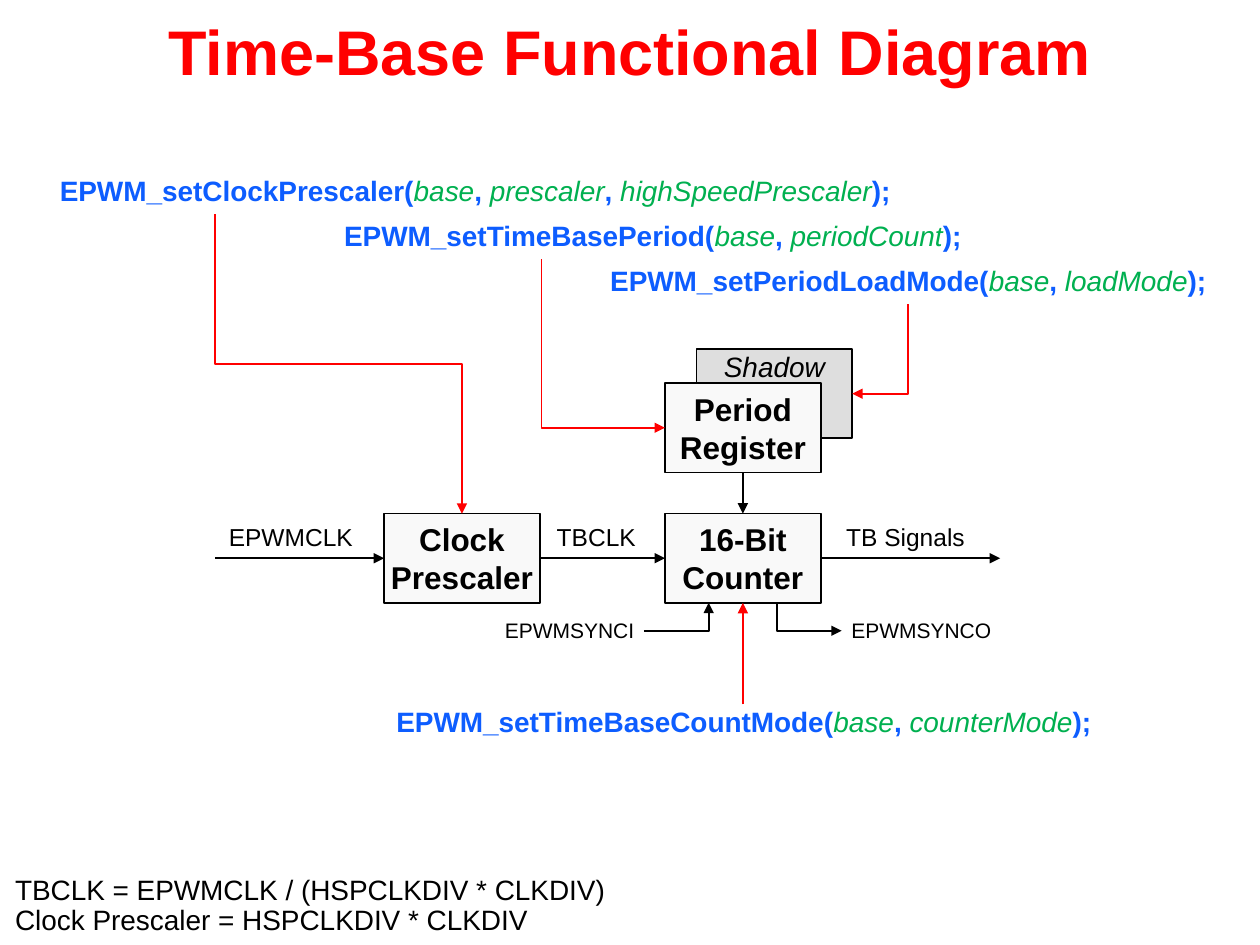
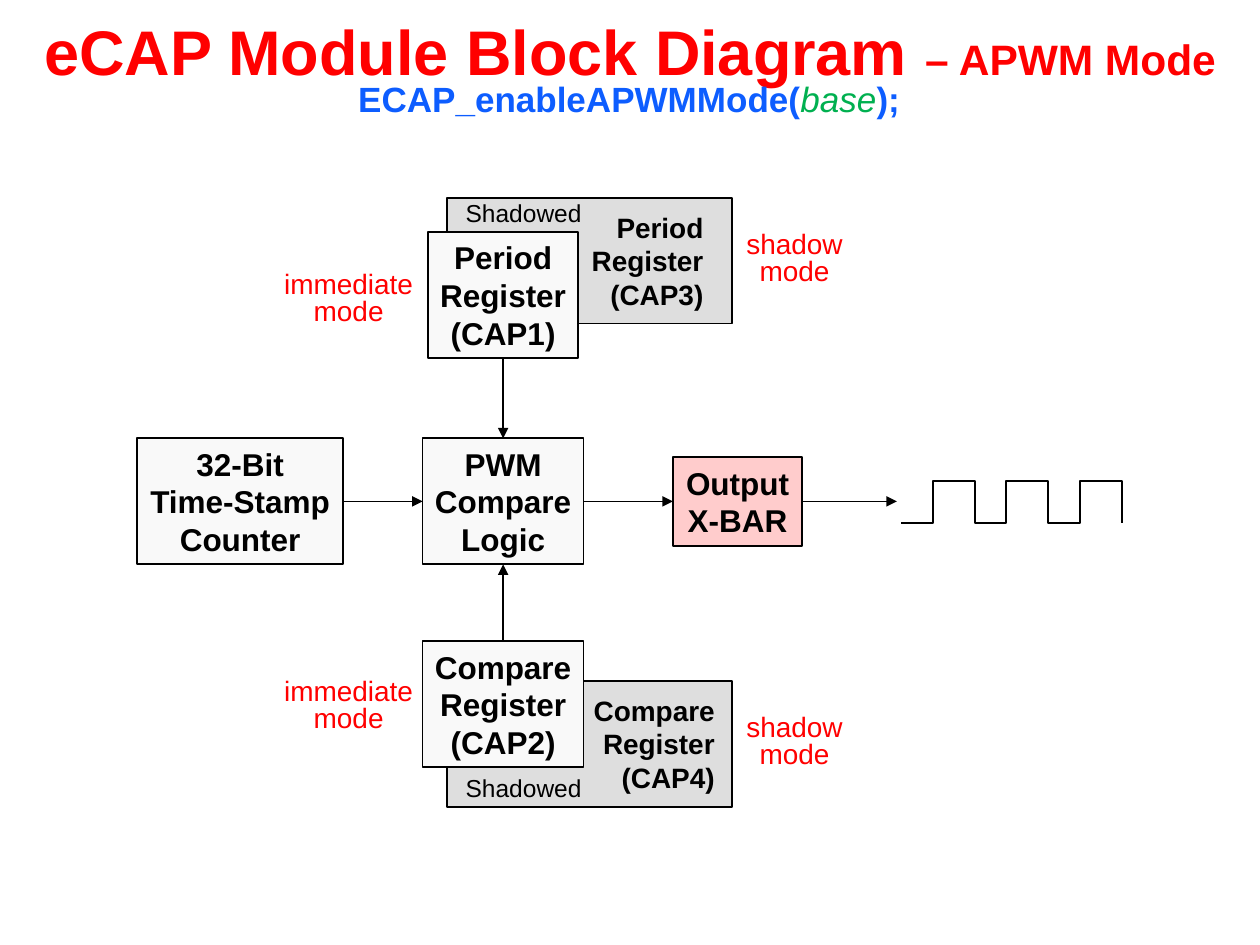
from collections import namedtuple
from dataclasses import dataclass
from itertools import pairwise

from lxml.etree import SubElement
from pptx import Presentation
from pptx.dml.color import RGBColor
from pptx.enum.shapes import MSO_CONNECTOR as Line, MSO_SHAPE as Preset
from pptx.enum.text import MSO_ANCHOR as Anchor, MSO_AUTO_SIZE as AutoSize, PP_ALIGN as Align
from pptx.oxml.ns import qn
from pptx.slide import Slide
from pptx.util import Pt

FONT = "Arial"
BLACK, RED = "000000", "FF0000"
CODE_BLUE, ARGUMENT_GREEN = "0D5DFF", "00B050"
BLOCK_FILL, SHADOW_FILL, OUTPUT_FILL = "F9F9F9", "DEDEDE", "FFCCCC"

TOP, LEFT, BOTTOM, RIGHT = range(4)
Side = namedtuple("Side", "block site")


def rgb(color):
    return RGBColor.from_string(color)


def style(font, size, color, bold=False, italic=False):
    font.name, font.size = FONT, Pt(size)
    font.bold, font.italic = bold, italic
    font.color.rgb = rgb(color)


def outline(line, color):
    line.color.rgb = rgb(color)
    line.width = Pt(1)


def write(frame, text, size, color=BLACK, bold=False, italic=False,
          align=Align.CENTER, spacing=1.0):
    frame.text = text
    for paragraph in frame.paragraphs:
        paragraph.alignment = align
        paragraph.line_spacing = spacing
        style(paragraph.font, size, color, bold, italic)


def finish_arrow(connector, color, at_start=False):
    outline(connector.line, color)
    properties = connector.element.spPr
    head = "a:headEnd" if at_start else "a:tailEnd"
    SubElement(properties.find(qn("a:ln")), qn(head), type="triangle")
    SubElement(properties, qn("a:effectLst"))


@dataclass
class Region:
    """An area of a slide; all positions are points from its top left corner."""
    slide: Slide
    left: float
    top: float

    def x(self, offset):
        return Pt(self.left + offset)

    def y(self, offset):
        return Pt(self.top + offset)

    def block(self, x, y, width, height, text, fill=BLOCK_FILL, size=18, bold=True,
              italic=False, align=Align.CENTER, anchor=Anchor.MIDDLE, right_inset=0):
        block = self.slide.shapes.add_shape(
            Preset.RECTANGLE, self.x(x), self.y(y), Pt(width), Pt(height))
        block.shadow.inherit = False
        block.fill.solid()
        block.fill.fore_color.rgb = rgb(fill)
        outline(block.line, BLACK)
        frame = block.text_frame
        frame.word_wrap = True
        frame.vertical_anchor = anchor
        frame.margin_left = frame.margin_top = frame.margin_bottom = 0
        frame.margin_right = Pt(right_inset)
        write(frame, text, size, bold=bold, italic=italic, align=align)
        return block

    def label(self, x, y, width, height, text, size, **look):
        label = self.slide.shapes.add_textbox(
            self.x(x), self.y(y), Pt(width), Pt(height))
        label.text_frame.word_wrap = False
        write(label.text_frame, text, size, **look)

    def code_call(self, x, y, width, function, arguments, size=16, height=23, spacing=0.8):
        call = self.slide.shapes.add_textbox(
            self.x(x), self.y(y), Pt(width), Pt(height))
        call.text_frame.word_wrap = True
        paragraph = call.text_frame.paragraphs[0]
        paragraph.alignment = Align.CENTER
        paragraph.line_spacing = spacing

        def add(text, is_argument=False):
            run = paragraph.add_run()
            run.text = text
            style(run.font, size, ARGUMENT_GREEN if is_argument else CODE_BLUE,
                  bold=not is_argument, italic=is_argument)

        add(function + "(")
        for index, argument in enumerate(arguments):
            if index:
                add(", ")
            add(argument, is_argument=True)
        add(");")

    def connector(self, kind, start, end):
        return self.slide.shapes.add_connector(
            kind, self.x(start[0]), self.y(start[1]), self.x(end[0]), self.y(end[1]))

    def arrow(self, start, end, color=BLACK):
        """Straight arrow; each end is a point or the Side of a block."""
        free = [(0, 0) if isinstance(stop, Side) else stop for stop in (start, end)]
        arrow = self.connector(Line.STRAIGHT, *free)
        if isinstance(start, Side):
            arrow.begin_connect(*start)
        if isinstance(end, Side):
            arrow.end_connect(*end)
        finish_arrow(arrow, color)

    def corner_arrow(self, start, end, color=BLACK, at_start=False):
        """One bend: horizontal from start, then vertical to end."""
        arrow = self.connector(Line.ELBOW, start, end)
        arrow.element.spPr.find(qn("a:prstGeom")).set("prst", "bentConnector2")
        finish_arrow(arrow, color, at_start)

    def step_arrow(self, start, end, color):
        """Two bends: down, across at half height, down; a quarter-turned elbow."""
        middle_x, middle_y = (start[0] + end[0]) / 2, (start[1] + end[1]) / 2
        half_width, half_height = (end[0] - start[0]) / 2, (end[1] - start[1]) / 2
        arrow = self.connector(Line.ELBOW,
                               (middle_x - half_height, middle_y + half_width),
                               (middle_x + half_height, middle_y - half_width))
        arrow.element.spPr.find(qn("a:xfrm")).set("rot", str(90 * 60000))
        finish_arrow(arrow, color)


def titled_slide(deck, heading, suffix=""):
    slide = deck.slides.add_slide(deck.slide_layouts[5])
    title = slide.shapes.title
    title.left, title.top, title.width, title.height = 0, 0, Pt(720), Pt(58)
    frame = title.text_frame
    frame.auto_size = AutoSize.NONE
    frame.vertical_anchor = Anchor.MIDDLE
    write(frame, heading, 36, RED, bold=True)
    if suffix:
        mode = frame.paragraphs[0].add_run()
        mode.text = suffix
        style(mode.font, 24.3, RED, bold=True)
    return slide


def time_base_diagram(region):
    size = 89, 51
    region.block(373, 100, *size, "Shadow", SHADOW_FILL, 16, bold=False, italic=True,
                 anchor=Anchor.TOP)
    prescaler = region.block(194.5, 194, *size, "Clock\nPrescaler")
    counter = region.block(355, 194, *size, "16-Bit\nCounter")
    period = region.block(355, 119.5, *size, "Period\nRegister")

    region.arrow(Side(period, BOTTOM), Side(counter, TOP))
    region.arrow((98, 219.5), Side(prescaler, LEFT))
    region.arrow(Side(prescaler, RIGHT), Side(counter, LEFT))
    region.arrow(Side(counter, RIGHT), (546.5, 219.5))
    for x, width, signal in ((98, 86.5, "EPWMCLK"), (284.5, 62.5, "TBCLK"),
                             (451, 83, "TB Signals")):
        region.label(x, 195.5, width, 24.5, signal, 14)

    center, bottom, sync = 399.5, 245, 261
    region.corner_arrow((center - 56.5, sync), (center - 19.5, bottom))
    region.corner_arrow((center + 56.5, sync), (center + 19.5, bottom), at_start=True)
    # The outgoing sync line carries its arrowhead at the label end.
    region.label(256, 250, 89, 22, "EPWMSYNCI", 12)
    region.label(454, 250, 95, 22, "EPWMSYNCO", 12)

    calls = (
        (0, 0, 493, "EPWM_setClockPrescaler", ("base", "prescaler", "highSpeedPrescaler")),
        (161, 25.5, 374, "EPWM_setTimeBasePeriod", ("base", "periodCount")),
        (315.5, 51, 357, "EPWM_setPeriodLoadMode", ("base", "loadMode")),
        (191, 303, 418, "EPWM_setTimeBaseCountMode", ("base", "counterMode")),
    )
    for call in calls:
        region.code_call(*call)
    region.step_arrow((98, 23), (239, 194), RED)
    region.corner_arrow((355, 145), (284.5, 48.5), RED, at_start=True)
    region.corner_arrow((462, 125.5), (494, 74), RED, at_start=True)
    region.arrow((center, 303), Side(counter, BOTTOM), RED)


def apwm_diagram(region):
    shadow = dict(fill=SHADOW_FILL, size=16, align=Align.RIGHT)
    region.block(177, 0, 163, 72, "Period\nRegister\n(CAP3)", right_inset=16.5, **shadow)
    region.block(177, 276, 163, 72, "Compare\nRegister\n(CAP4)", right_inset=10, **shadow)
    for y in (0, 328.5):
        region.label(180.5, y, 81, 21, "Shadowed", 14, align=Align.LEFT, spacing=0.8)
    for x, y, width, mode in ((76.5, 39.5, 88.5, "immediate"), (76.5, 272, 88.5, "immediate"),
                              (340.5, 16.5, 70, "shadow"), (340.5, 292.5, 70, "shadow")):
        region.label(x, y, width, 38, mode + "\nmode", 16, color=RED, spacing=0.8)

    counter = region.block(0, 137.5, 117.5, 72, "32-Bit\nTime-Stamp\nCounter")
    period = region.block(166, 19.5, 86, 72, "Period\nRegister\n(CAP1)")
    logic = region.block(163, 137.5, 92, 72, "PWM\nCompare\nLogic")
    compare = region.block(163, 253.5, 92, 72, "Compare\nRegister\n(CAP2)")
    output = region.block(306, 148, 74, 51, "Output\nX-BAR", OUTPUT_FILL)

    region.arrow(Side(counter, RIGHT), Side(logic, LEFT))
    region.arrow(Side(period, BOTTOM), Side(logic, TOP))
    region.arrow(Side(compare, TOP), Side(logic, BOTTOM))
    region.arrow(Side(logic, RIGHT), Side(output, LEFT))
    region.arrow(Side(output, RIGHT), (434, 173.5))
    pulse_train(region, 436.5, 162)


def pulse_train(region, left, high, pulses=3, gap=18, pulse=24, height=24):
    low = high + height
    corners = [(left, low)]
    for index in range(pulses):
        rise = left + gap + index * (gap + pulse)
        fall = rise + pulse
        corners += [(rise, low), (rise, high), (fall, high), (fall, low)]
    points = [(region.x(x), region.y(y)) for x, y in corners]
    builder = region.slide.shapes.build_freeform(*points[0], scale=1.0)
    builder.add_line_segments(points[1:], close=False)
    wave = builder.convert_to_shape()
    wave.shadow.inherit = False
    wave.fill.background()
    outline(wave.line, BLACK)


def main():
    deck = Presentation()
    deck.slide_width, deck.slide_height = Pt(720), Pt(540)

    time_base = titled_slide(deck, "Time-Base Functional Diagram")
    time_base_diagram(Region(time_base, 25, 99.5))
    Region(time_base, 1.5, 497).label(
        0, 0, 355.5, 42.5,
        "TBCLK = EPWMCLK / (HSPCLKDIV * CLKDIV)\nClock Prescaler = HSPCLKDIV * CLKDIV",
        16, align=Align.LEFT, spacing=0.9)

    apwm = titled_slide(deck, "eCAP Module Block Diagram ", "– APWM Mode")
    Region(apwm, 196, 41).code_call(0, 0, 327, "ECAP_enableAPWMMode", ("base",),
                                    size=20, height=32, spacing=1.0)
    apwm_diagram(Region(apwm, 78.5, 113))

    deck.save("out.pptx")


if __name__ == "__main__":
    main()
